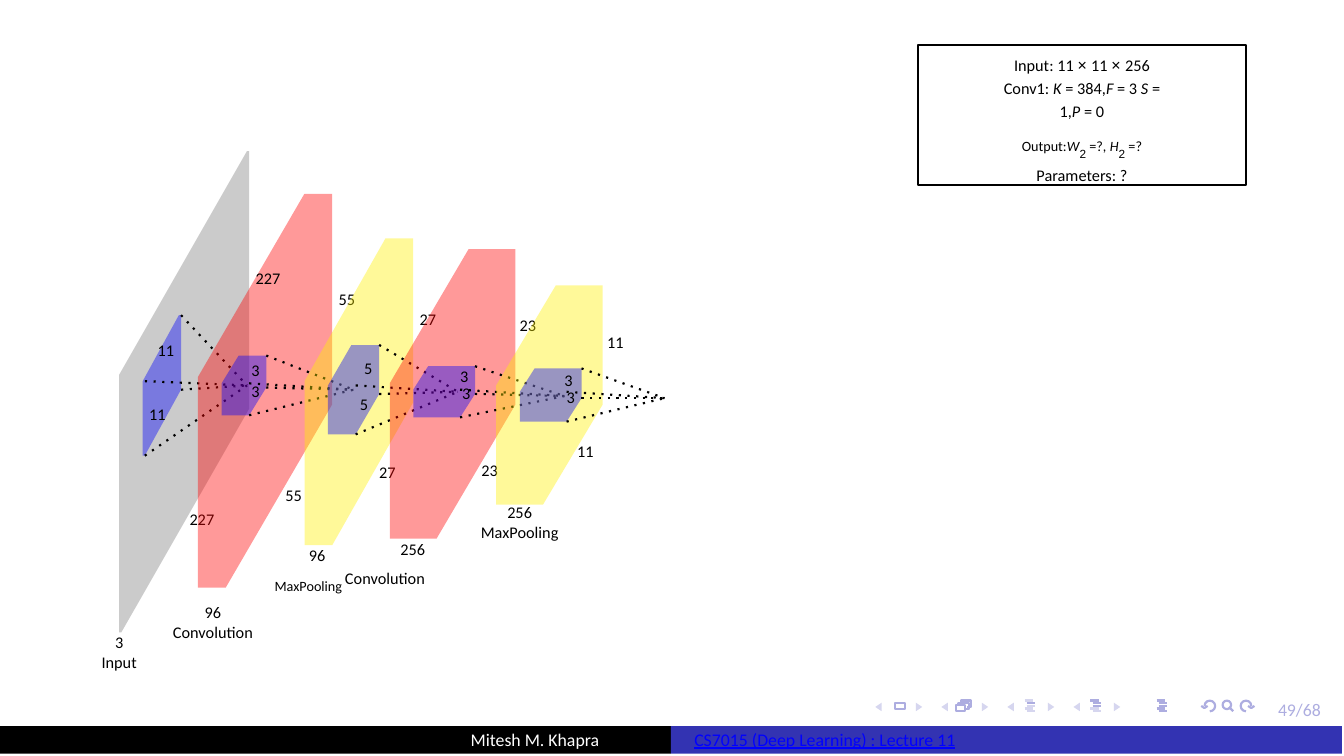
from dataclasses import dataclass
from math import cos, radians, sin
from typing import Optional

from lxml.etree import SubElement
from pptx import Presentation
from pptx.dml.color import RGBColor
from pptx.enum.shapes import MSO_CONNECTOR as Connector, MSO_SHAPE as Preset
from pptx.enum.text import MSO_ANCHOR as Anchor, PP_ALIGN as Align
from pptx.oxml.ns import qn
from pptx.util import Inches, Pt

Point = tuple[float, float]
BLACK, WHITE, GREY, RED, YELLOW, BLUE = "000000", "FFFFFF", "7F7F7F", "FF0000", "FFF200", "0000FF"
NAVY, ICON, PALE_ICON = "3333B2", "ADADE0", "D6D6EF"
LINE_WIDTH = Pt(0.75)


@dataclass
class Prism:
    """A slanted block: its front edge is on the left, its back edge on the right."""
    left: float
    right: float
    top: float
    front_top: float
    bottom: float
    depth: float

    def face(self) -> list[Point]:
        front, back_bottom = self.left + self.depth, self.top + self.bottom - self.front_top
        return [(front, self.front_top), (self.right, self.top),
                (self.right, back_bottom), (front, self.bottom)]

    def outline(self) -> list[Point]:
        _, back_top, back_bottom, front_bottom = self.face()
        return [back_top, (self.right - self.depth, self.top), (self.left, self.front_top),
                (self.left, self.bottom), front_bottom, back_bottom]


@dataclass
class Label:
    text: str
    left: float
    top: float
    width: float = 0.15
    size: float = 5.5
    colour: str = BLACK
    align: Align = Align.LEFT
    underline: bool = False


@dataclass
class Caption(Label):
    width: float = 0.5
    align: Align = Align.CENTER


@dataclass
class Stage:
    layer: Prism
    colour: str
    kernel: Prism
    apex: Point
    labels: list[Label]


@dataclass
class Piece:
    text: str
    italic: bool = False
    font: Optional[str] = None
    subscript: bool = False


STAGES = [
    Stage(Prism(0.56, 1.17, 0.71, 1.76, 2.97, 0.01), GREY,
          Prism(0.67, 0.85, 1.48, 1.79, 2.14, 0.01), (1.16, 1.81),
          [Label("227", 0.88, 2.38), Caption("3\nInput", 0.31, 2.96),
           Label("11", 0.73, 1.59), Label("11", 0.69, 1.89)]),
    Stage(Prism(0.93, 1.56, 0.91, 1.77, 2.76, 0.13), RED,
          Prism(1.04, 1.25, 1.67, 1.80, 1.95, 0.13), (1.66, 1.83),
          [Label("227", 1.19, 1.25), Label("55", 1.58, 1.35), Label("55", 1.33, 2.27),
           Label("3", 1.17, 1.68), Label("3", 1.17, 1.78), Caption("96\nConvolution", 0.75, 2.82)]),
    Stage(Prism(1.43, 1.94, 1.12, 1.79, 2.56, 0.13), YELLOW,
          Prism(1.54, 1.78, 1.62, 1.81, 2.04, 0.13), (2.15, 1.84),
          [Label("96", 1.44, 2.55), Label("27", 1.96, 1.44), Label("27", 1.77, 2.16),
           Label("5", 1.70, 1.67), Label("5", 1.68, 1.84),
           Label("MaxPooling", 1.28, 2.70, 0.4, 4.8)]),
    Stage(Prism(1.83, 2.42, 1.17, 1.80, 2.53, 0.22), RED,
          Prism(1.94, 2.23, 1.72, 1.83, 1.96, 0.22), (2.65, 1.86),
          [Label("256", 1.87, 2.52), Label("23", 2.43, 1.47), Label("23", 2.25, 2.15),
           Label("3", 2.15, 1.71), Label("3", 2.16, 1.79),
           Label("Convolution", 1.61, 2.66, 0.45)]),
    Stage(Prism(2.33, 2.83, 1.34, 1.81, 2.37, 0.22), YELLOW,
          Prism(2.44, 2.73, 1.73, 1.84, 1.98, 0.22), (3.12, 1.87),
          [Label("11", 2.84, 1.55), Label("11", 2.70, 2.06), Caption("256\nMaxPooling", 2.19, 2.35),
           Label("3", 2.64, 1.73), Label("3", 2.65, 1.81)]),
]

TIMES = Piece("× ", font="Noto Sans")
BREAK = Piece("\n")
# Each line of the question: size, line spacing, space before, pieces
QUESTION = [
    (5.5, 1.2, 0, [Piece("Input: 11 "), TIMES, Piece("11 "), TIMES, Piece("256"), BREAK,
                   Piece("Conv1: "), Piece("K ", True), Piece("= 384,"), Piece("F ", True),
                   Piece("= 3 "), Piece("S ", True), Piece("="), BREAK,
                   Piece("1,"), Piece("P ", True), Piece("= 0")]),
    (4.8, 1.0, 3.3, [Piece("Output:"), Piece("W", True), Piece("2 ", font="Arial", subscript=True),
                     Piece("=?"), Piece(", H", True), Piece("2 ", font="Arial", subscript=True),
                     Piece("=?")]),
    (5.5, 1.0, 1.6, [Piece("Parameters: ?")]),
]

FOOTER = [
    Label("49/68", 5.99, 3.27, 0.28, 6, ICON),
    Label("Mitesh M. Khapra", 2.20, 3.41, 0.85, 6, WHITE),
    Label("CS7015 (Deep Learning) : Lecture 11", 3.25, 3.41, 1.7, 6, BLUE, underline=True),
]


def rgb(colour: str) -> RGBColor:
    return RGBColor.from_string(colour)


def paint(shape, fill: Optional[str] = None, line: Optional[str] = None, opacity: int = 100) -> None:
    shape.shadow.inherit = False
    if fill:
        shape.fill.solid()
        shape.fill.fore_color.rgb = rgb(fill)
        if opacity < 100:
            SubElement(shape.fill._xPr.find(".//" + qn("a:srgbClr")), qn("a:alpha"),
                       val=str(opacity * 1000))
    else:
        shape.fill.background()
    if line:
        shape.line.color.rgb = rgb(line)
        shape.line.width = LINE_WIDTH
    else:
        shape.line.fill.background()


def draw_path(shapes, points: list[Point], closed: bool = True, **look) -> None:
    start, *rest = [(Inches(x), Inches(y)) for x, y in points]
    builder = shapes.build_freeform(*start, scale=1.0)
    builder.add_line_segments(rest, close=closed)
    paint(builder.convert_to_shape(), **look)


def draw_line(shapes, start: Point, end: Point, colour: str, dotted: bool = False) -> None:
    line = shapes.add_connector(Connector.STRAIGHT, *[Inches(v) for v in (*start, *end)])
    line.line.color.rgb = rgb(colour)
    line.line.width = LINE_WIDTH
    properties = line._element.spPr
    if dotted:
        SubElement(properties.find(qn("a:ln")), qn("a:prstDash"), val="dot")
    SubElement(properties, qn("a:effectLst"))


def add_preset(shapes, preset: Preset, left: float, top: float, width: float, height: float, **look):
    shape = shapes.add_shape(preset, *[Inches(v) for v in (left, top, width, height)])
    paint(shape, **look)
    return shape


def set_frame(frame, left: float, top: float) -> None:
    frame.word_wrap = True
    frame.vertical_anchor = Anchor.TOP
    frame.margin_left, frame.margin_top = Inches(left), Inches(top)
    frame.margin_right = frame.margin_bottom = 0


def draw_label(shapes, label: Label) -> None:
    lines = label.text.split("\n")
    box = shapes.add_textbox(*[Inches(v) for v in (label.left, label.top, label.width,
                                                   0.02 + 0.1 * len(lines))])
    set_frame(box.text_frame, 0.01 if label.align == Align.LEFT else 0, 0.01)
    box.text_frame.text = label.text
    for paragraph in box.text_frame.paragraphs:
        paragraph.alignment = label.align
        font = paragraph.font
        font.name, font.size, font.color.rgb = "Calibri", Pt(label.size), rgb(label.colour)
        if label.underline:
            font.underline = True


def draw_stage(shapes, stage: Stage) -> None:
    draw_path(shapes, stage.layer.outline(), fill=stage.colour, opacity=40)
    draw_path(shapes, stage.kernel.outline(), fill=BLUE, opacity=40)
    for label in stage.labels:
        draw_label(shapes, label)
    for corner in stage.kernel.face():
        draw_line(shapes, corner, stage.apex, BLACK, dotted=True)


def draw_question(shapes) -> None:
    frame = add_preset(shapes, Preset.RECTANGLE, 4.31, 0.21, 1.54, 0.66, line=BLACK).text_frame
    set_frame(frame, 0, 0.03)
    for index, (size, spacing, before, pieces) in enumerate(QUESTION):
        paragraph = frame.add_paragraph() if index else frame.paragraphs[0]
        paragraph.alignment, paragraph.line_spacing = Align.CENTER, spacing
        if before:
            paragraph.space_before = Pt(before)
        font = paragraph.font
        font.name, font.size, font.color.rgb = "Calibri", Pt(size), rgb(BLACK)
        for piece in pieces:
            if piece is BREAK:
                paragraph.add_line_break()
                continue
            run = paragraph.add_run()
            run.text = piece.text
            if piece.italic:
                run.font.italic = True
            if piece.font:
                run.font.name = piece.font
            if piece.subscript:
                run.font.size = Pt(6.9)
                run._r.get_or_add_rPr().set("baseline", "-35000")


def draw_navigation(shapes) -> None:
    # Pairs of arrowheads around the first four symbols
    for step in range(4):
        for tip, base in ((4.11, 4.14), (4.33, 4.30)):
            x = 0.31 * step
            draw_path(shapes, [(base + x, 3.30), (tip + x, 3.32), (base + x, 3.34)], fill=PALE_ICON)
    # Slide and frame symbols
    add_preset(shapes, Preset.RECTANGLE, 4.20, 3.30, 0.05, 0.03, line=ICON)
    add_preset(shapes, Preset.RECTANGLE, 4.49, 3.31, 0.04, 0.03, line=ICON)
    for shift in (0, 0.01):
        sheet = [(4.50, 3.31), (4.50, 3.30), (4.55, 3.30), (4.55, 3.33), (4.53, 3.33)]
        draw_path(shapes, [(x + shift, y - shift) for x, y in sheet], closed=False, line=ICON)
    # Outline symbols, with the strong rows of each
    for left, strong in ((4.81, {1}), (5.12, {0, 1, 2}), (5.43, set(range(5)))):
        for row in range(5):
            x, y = left + 0.01 * (row in (1, 2, 4)), 3.29 + 0.05 * row / 4
            draw_line(shapes, (x, y), (x + 0.04, y), ICON if row in strong else PALE_ICON)
    # Back, search and forward symbols
    arc = [(0.025 * cos(radians(a)), 0.025 * sin(radians(a))) for a in range(90, -181, -30)]
    head = [(-0.01, 0), (-0.025, 0.01), (-0.04, 0)]
    for centre, side in ((5.68, 1), (5.85, -1)):
        for part in (arc, head):
            draw_path(shapes, [(centre + side * x, 3.315 + y) for x, y in part],
                      closed=False, line=ICON)
    add_preset(shapes, Preset.OVAL, 5.74, 3.29, 0.04, 0.04, line=ICON)
    draw_line(shapes, (5.77, 3.32), (5.79, 3.34), ICON)


def main() -> None:
    deck = Presentation()
    deck.slide_width, deck.slide_height = Inches(6.31), Inches(3.55)
    shapes = deck.slides.add_slide(deck.slide_layouts[6]).shapes
    draw_navigation(shapes)
    for stage in STAGES:
        draw_stage(shapes, stage)
    draw_question(shapes)
    for left, colour in ((0, BLACK), (3.15, NAVY)):
        add_preset(shapes, Preset.RECTANGLE, left, 3.41, 3.15, 0.13, fill=colour)
    for label in FOOTER:
        draw_label(shapes, label)
    deck.save("out.pptx")


if __name__ == "__main__":
    main()
